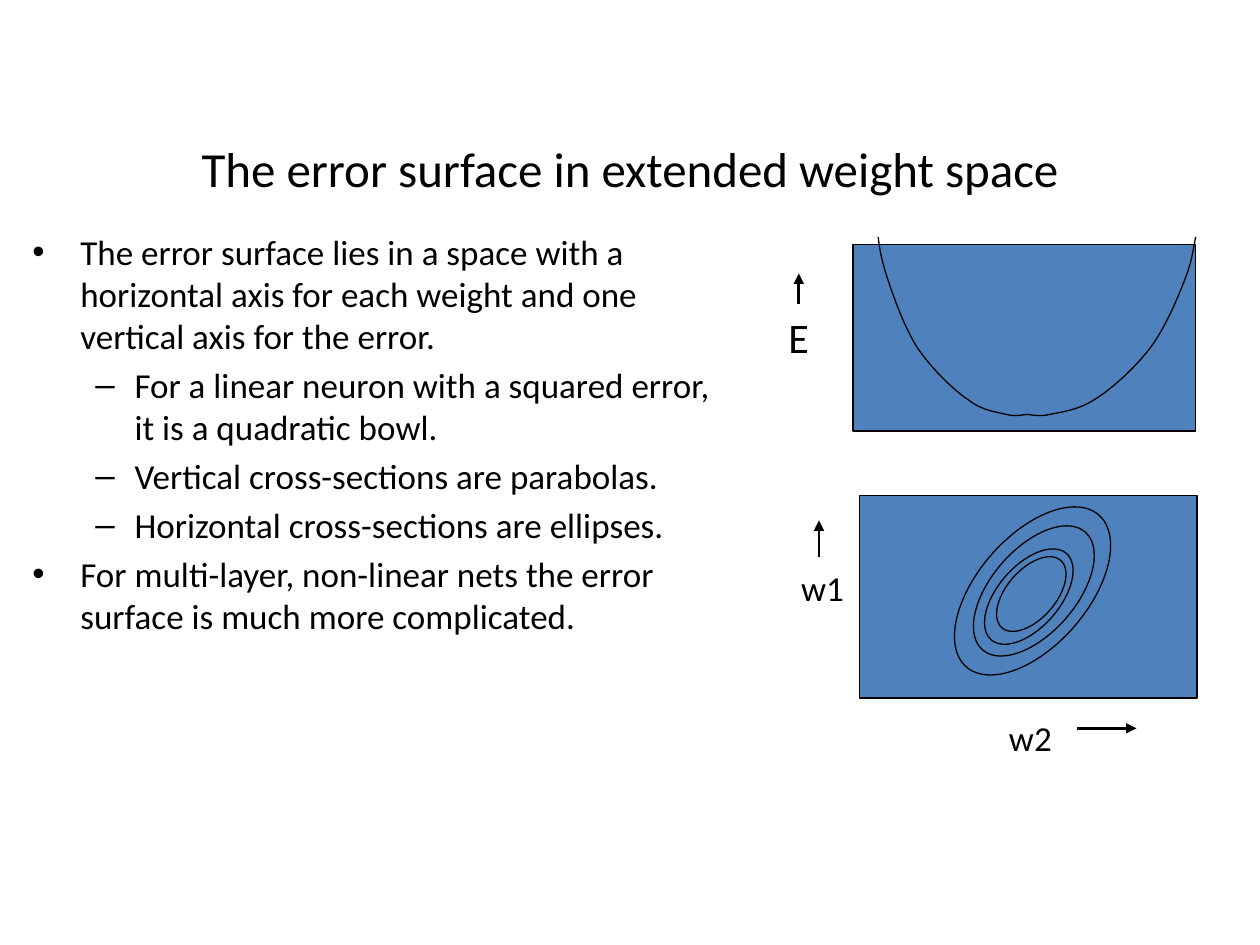
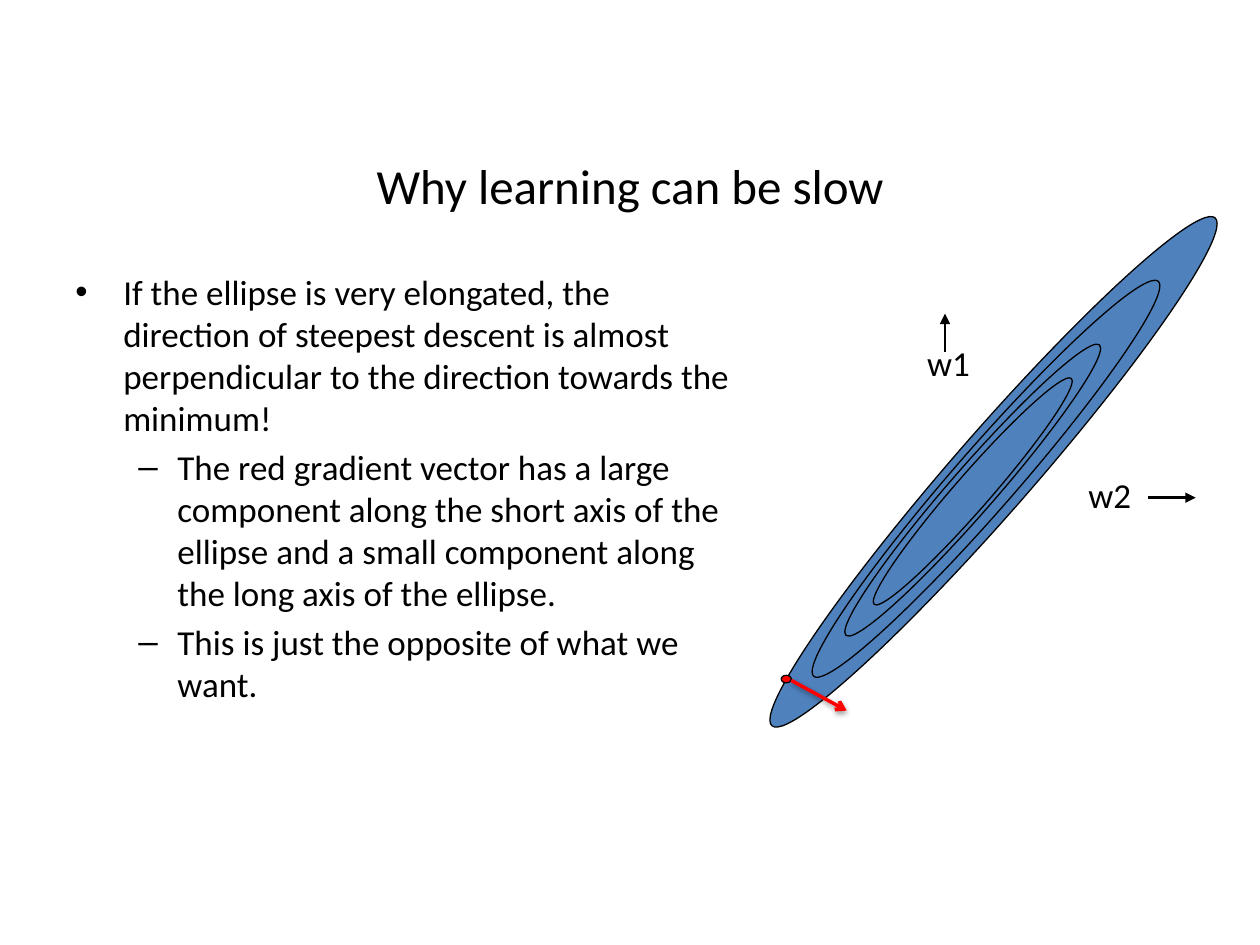
from lxml.etree import SubElement
from pptx import Presentation
from pptx.dml.color import RGBColor
from pptx.enum.shapes import MSO_CONNECTOR, MSO_SHAPE
from pptx.enum.text import MSO_ANCHOR, MSO_AUTO_SIZE, PP_ALIGN
from pptx.oxml.ns import qn
from pptx.util import Inches, Pt

BLACK = RGBColor(0x00, 0x00, 0x00)
BLUE = RGBColor(0x4F, 0x81, 0xBD)
RED = RGBColor(0xFF, 0x00, 0x00)
FONT = "Calibri"
TILT = 41.1
STEPS = 12
LEVELS = [(0.38, 0.38, "•"), (0.81, 0.31, "–")]


def inch(*sizes):
    return [Inches(size) for size in sizes]


def blend(a, b, c, d, t):
    s = 1 - t
    return s**3 * a + 3 * s * s * t * b + 3 * s * t * t * c + t**3 * d


class Deck:
    def __init__(self):
        self.file = Presentation()
        self.file.slide_width, self.file.slide_height = inch(10, 7.5)
        self.slide = None

    def style(self, para, size):
        for run in para.runs:
            run.font.name = FONT
            run.font.size = Pt(size)
            run.font.color.rgb = BLACK

    def title(self, text, top):
        self.slide = self.file.slides.add_slide(self.file.slide_layouts[5])
        head = self.slide.shapes.title
        head.left, head.top, head.width, head.height = inch(0.5, top, 9, 0.94)
        frame = head.text_frame
        frame.text = text
        frame.vertical_anchor = MSO_ANCHOR.MIDDLE
        frame.paragraphs[0].alignment = PP_ALIGN.CENTER
        self.style(frame.paragraphs[0], 28)

    def body(self, box, items):
        frame = self.slide.shapes.add_textbox(*inch(*box)).text_frame
        frame.word_wrap = True
        frame.text = "\n".join(text for _, text in items)
        for para, (level, _) in zip(frame.paragraphs, items):
            left, hang, mark = LEVELS[level]
            para.level = level
            para.space_before = Pt(4)
            self.style(para, 20)
            props = para._p.get_or_add_pPr()
            props.set("marL", str(Inches(left)))
            props.set("indent", str(-Inches(hang)))
            SubElement(props, qn("a:buFont"), typeface="Arial")
            SubElement(props, qn("a:buChar"), char=mark)

    def label(self, text, box, size=20):
        frame = self.slide.shapes.add_textbox(*inch(*box)).text_frame
        frame.word_wrap = False
        frame.auto_size = MSO_AUTO_SIZE.SHAPE_TO_FIT_TEXT
        frame.text = text
        self.style(frame.paragraphs[0], size)

    def outline(self, shape):
        shape.shadow.inherit = False
        shape.line.color.rgb = BLACK
        shape.line.width = Pt(0.75)

    def shape(self, kind, box, fill=BLUE, turn=0):
        item = self.slide.shapes.add_shape(kind, *inch(*box))
        item.fill.solid()
        item.fill.fore_color.rgb = fill
        item.rotation = turn
        self.outline(item)

    def rings(self, boxes):
        for box in boxes:
            self.shape(MSO_SHAPE.OVAL, box, turn=TILT)

    def curve(self, knots):
        dots = []
        for i in range(0, len(knots) - 1, 3):
            xs, ys = zip(*knots[i:i + 4])
            dots += [inch(blend(*xs, n / STEPS), blend(*ys, n / STEPS))
                     for n in range(1, STEPS + 1)]
        path = self.slide.shapes.build_freeform(*inch(*knots[0]))
        path.add_line_segments(dots, close=False)
        item = path.convert_to_shape()
        item.fill.background()
        self.outline(item)

    def arrow(self, start, end, color=BLACK, width=1.5, tip="triangle", shade=False):
        link = self.slide.shapes.add_connector(
            MSO_CONNECTOR.STRAIGHT, *inch(*start, *end))
        link.line.color.rgb = color
        link.line.width = Pt(width)
        SubElement(link.line._get_or_add_ln(), qn("a:tailEnd"), type=tip)
        effect = SubElement(link._element.spPr, qn("a:effectLst"))
        if shade:
            cast = SubElement(effect, qn("a:outerShdw"), blurRad=str(Pt(3.1)),
                              dist=str(Pt(1.6)), dir="5400000", rotWithShape="0")
            tint = SubElement(cast, qn("a:srgbClr"), val=str(BLACK))
            SubElement(tint, qn("a:alpha"), val="38000")


def surface(deck):
    deck.title("The error surface in extended weight space", 0.86)
    deck.body((0.16, 1.78, 5.63, 4.31), [
        (0, "The error surface lies in a space with a horizontal axis for each "
            "weight and one vertical axis for the error."),
        (1, "For a linear neuron with a squared error, it is a quadratic bowl."),
        (1, "Vertical cross-sections are parabolas."),
        (1, "Horizontal cross-sections are ellipses."),
        (0, "For multi-layer, non-linear nets the error surface is much more "
            "complicated."),
    ])
    deck.shape(MSO_SHAPE.RECTANGLE, (6.77, 1.94, 2.72, 1.48))
    drop = [1.88, 1.98, 2.08, 2.23, 2.38, 2.6, 2.76, 2.92, 3.09, 3.17,
            3.26, 3.27, 3.29, 3.31, 3.29, 3.29]
    left = [6.97, 6.98, 7, 7.05, 7.1, 7.18, 7.28, 7.39, 7.56, 7.68,
            7.79, 7.91, 7.99, 8.07, 8.12, 8.15]
    right = [9.49, 9.47, 9.46, 9.4, 9.34, 9.25, 9.13, 9.01, 8.82, 8.69,
             8.55, 8.42, 8.33, 8.24, 8.18, 8.15]
    for side in (left, right):
        deck.curve(list(zip(side, drop)))
    deck.label("E", (6.16, 2.42, 0.37, 0.5), 24)
    deck.arrow((6.34, 2.41), (6.34, 2.17))
    deck.shape(MSO_SHAPE.RECTANGLE, (6.82, 3.93, 2.68, 1.61))
    deck.label("w1", (6.26, 4.45, 0.54, 0.44))
    deck.label("w2", (7.91, 5.64, 0.54, 0.44))
    deck.arrow((6.5, 4.42), (6.5, 4.13))
    deck.arrow((8.55, 5.78), (9.02, 5.78))
    deck.rings([(7.76, 3.89, 0.87, 1.6), (7.87, 4.07, 0.67, 1.24),
                (7.92, 4.28, 0.49, 0.91), (7.99, 4.36, 0.39, 0.71)])


def slow(deck):
    deck.title("Why learning can be slow", 1)
    deck.body((0.5, 2.1, 5.48, 4.02), [
        (0, "If the ellipse is very elongated, the direction of steepest descent "
            "is almost perpendicular to the direction towards the minimum!"),
        (1, "The red gradient vector has a large component along the short axis "
            "of the ellipse and a small component along the long axis of the "
            "ellipse."),
        (1, "This is just the opposite of what we want."),
    ])
    deck.rings([(7.57, 1.07, 0.63, 5.35), (7.58, 1.72, 0.49, 4.16),
                (7.54, 2.36, 0.36, 3.06), (7.58, 2.71, 0.28, 2.38)])
    deck.shape(MSO_SHAPE.OVAL, (6.2, 5.36, 0.08, 0.06), RED)
    deck.label("w1", (7.26, 2.66, 0.54, 0.44))
    deck.arrow((7.5, 2.79), (7.5, 2.49))
    deck.label("w2", (8.54, 3.71, 0.54, 0.44))
    deck.arrow((9.11, 3.95), (9.49, 3.95))
    deck.arrow((6.28, 5.4), (6.72, 5.64), RED, 2, "arrow", True)


def main():
    deck = Deck()
    surface(deck)
    slow(deck)
    deck.file.save("out.pptx")


if __name__ == "__main__":
    main()
